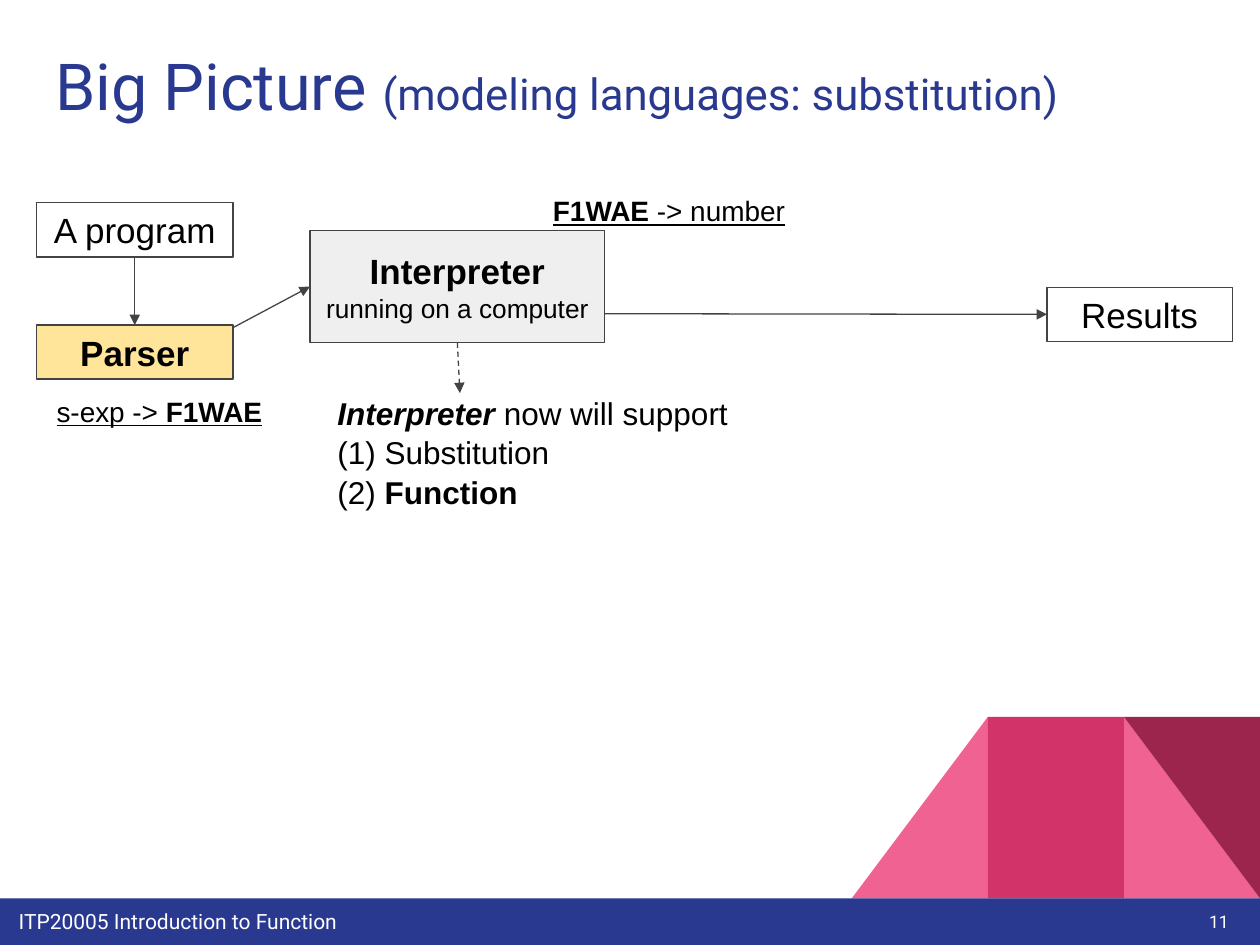
from lxml.etree import SubElement
from pptx import Presentation
from pptx.dml.color import RGBColor
from pptx.enum.dml import MSO_LINE
from pptx.enum.shapes import MSO_CONNECTOR, MSO_SHAPE
from pptx.enum.text import MSO_ANCHOR, PP_ALIGN
from pptx.oxml.ns import qn
from pptx.util import Inches, Pt

COLORS = {
    "navy": "2A3990", "pink": "F06292", "rose": "D23369", "wine": "9C254D",
    "white": "FFFFFF", "black": "000000", "line": "434343",
    "gray": "EFEFEF", "yellow": "FFE599",
}
TOP, LEFT, BOTTOM = 0, 1, 2  # connection sites of a rectangle


def rgb(name):
    return RGBColor.from_string(COLORS[name])


def write(sp, paragraphs, size, font="Arial", color="black", align=PP_ALIGN.LEFT,
          anchor=MSO_ANCHOR.TOP, spacing=None):
    """Fill a shape; each paragraph is a list of (text, font settings) runs."""
    tf = sp.text_frame
    tf.word_wrap = True
    tf.vertical_anchor = anchor
    tf.margin_left = tf.margin_right = tf.margin_top = tf.margin_bottom = Inches(0.1)
    for i, runs in enumerate(paragraphs):
        p = tf.add_paragraph() if i else tf.paragraphs[0]
        p.alignment = align
        p.line_spacing = spacing
        p.font.size, p.font.name = Pt(size), font
        p.font.color.rgb = rgb(color)
        for text, settings in runs:
            r = p.add_run()
            r.text = text
            for key, value in settings.items():
                setattr(r.font, key, value)


def add_text(s, box, paragraphs, size, **style):
    sp = s.shapes.add_textbox(*map(Inches, box))
    write(sp, paragraphs, size, **style)


def add_block(s, kind, box, fill=None, line=None):
    sp = s.shapes.add_shape(kind, *map(Inches, box))
    sp.shadow.inherit = False
    if fill:
        sp.fill.solid()
        sp.fill.fore_color.rgb = rgb(fill)
    else:
        sp.fill.background()
    if line:
        sp.line.color.rgb = rgb(line)
        sp.line.width = Pt(0.75)
    else:
        sp.line.fill.background()
    return sp


def add_node(s, box, runs, fill=None):
    sp = add_block(s, MSO_SHAPE.RECTANGLE, box, fill, "line")
    write(sp, [runs], 20, align=PP_ALIGN.CENTER, anchor=MSO_ANCHOR.MIDDLE)
    return sp


def add_arrow(s, start, end, begin=None, finish=None, dashed=False):
    """Draw an arrow; begin and finish are optional (shape, site) joints."""
    c = s.shapes.add_connector(MSO_CONNECTOR.STRAIGHT, *map(Inches, start + end))
    if begin:
        c.begin_connect(*begin)
    if finish:
        c.end_connect(*finish)
    c.line.color.rgb = rgb("line")
    c.line.width = Pt(0.75)
    if dashed:
        c.line.dash_style = MSO_LINE.DASH
    SubElement(c.line._get_or_add_ln(), qn("a:tailEnd"), type="triangle")
    SubElement(c._element.spPr, qn("a:effectLst"))


def add_decoration(s, x, y, w, h):
    """Three equal columns of triangles and a rectangle."""
    col = w / 3
    tri = MSO_SHAPE.RIGHT_TRIANGLE
    add_block(s, tri, (x + 2 * col, y, col, h), "pink")
    left = add_block(s, tri, (x, y, col, h), "pink")
    left._element.spPr.get_or_add_xfrm().set("flipH", "1")
    add_block(s, MSO_SHAPE.RECTANGLE, (x + col, y, col, h), "rose")
    add_block(s, tri, (x + 2 * col, y, col, h), "wine").rotation = 180


def add_footer(s, x, y, w, h):
    add_block(s, MSO_SHAPE.RECTANGLE, (x, y, w, h), "navy")
    add_text(s, (x + 0.05, y - 0.02, 7.35, 0.36),
             [[("ITP20005 Introduction to Function", {})]], 12,
             font="Roboto", color="white")
    add_text(s, (x + w - 0.75, y - 0.1, 0.6, 0.57), [[("11", {})]], 10,
             font="Roboto", color="white", align=PP_ALIGN.RIGHT,
             anchor=MSO_ANCHOR.MIDDLE)


def add_title(s, x, y, w, h):
    add_text(s, (x, y, w, h),
             [[("Big Picture ", {"size": Pt(37)}),
               ("(modeling languages: substitution)", {"size": Pt(25)})]],
             25, font="Roboto", color="navy")


def add_pipeline(s, x, y):
    """Program to parser to interpreter to results, with type notes."""
    bold, under = {"bold": True}, {"underline": True}

    # Boxes
    interpreter = add_node(s, (x + 2.17, y + 0.22, 2.34, 0.89),
                           [("Interpreter ", bold),
                            ("running on a computer", {"size": Pt(15)})], "gray")
    program = add_node(s, (x, y, 1.56, 0.43), [("A program", {})])
    results = add_node(s, (x + 8.02, y + 0.67, 1.47, 0.43), [("Results", {})])
    parser = add_node(s, (x, y + 0.97, 1.56, 0.43), [("Parser", bold)], "yellow")

    # Arrows
    add_arrow(s, (x + 0.78, y + 0.43), (x + 0.78, y + 0.97),
              (program, BOTTOM), (parser, TOP))
    add_arrow(s, (x + 1.56, y + 0.99), (x + 2.17, y + 0.66),
              finish=(interpreter, LEFT))
    add_arrow(s, (x + 4.51, y + 0.88), (x + 8.02, y + 0.89),
              finish=(results, LEFT))
    add_arrow(s, (x + 3.34, y + 1.11), (x + 3.36, y + 1.51),
              begin=(interpreter, BOTTOM), dashed=True)

    # Notes
    add_text(s, (x + 0.06, y + 1.42, 2.11, 0.4),
             [[("s-exp -> ", under), ("F1WAE", bold | under)]], 16)
    add_text(s, (x + 4, y - 0.17, 2.29, 0.33),
             [[("F1WAE", bold | under), (" -> number", under)]], 16)
    add_text(s, (x + 2.29, y + 1.4, 4.45, 0.94),
             [[("Interpreter ", bold | {"italic": True}), ("now will support", {})],
              [("(1) Substitution", {})],
              [("(2) ", {}), ("Function", bold)]], 18, spacing=1.05)


def main():
    prs = Presentation()
    prs.slide_width, prs.slide_height = Inches(10), Inches(7.5)
    s = prs.slides.add_slide(prs.slide_layouts[6])
    add_decoration(s, 6.76, 5.69, 3.24, 1.44)
    add_footer(s, 0, 7.13, 10, 0.37)
    add_title(s, 0.34, 0.26, 9.32, 0.89)
    add_pipeline(s, 0.29, 1.61)
    prs.save("out.pptx")


if __name__ == "__main__":
    main()
